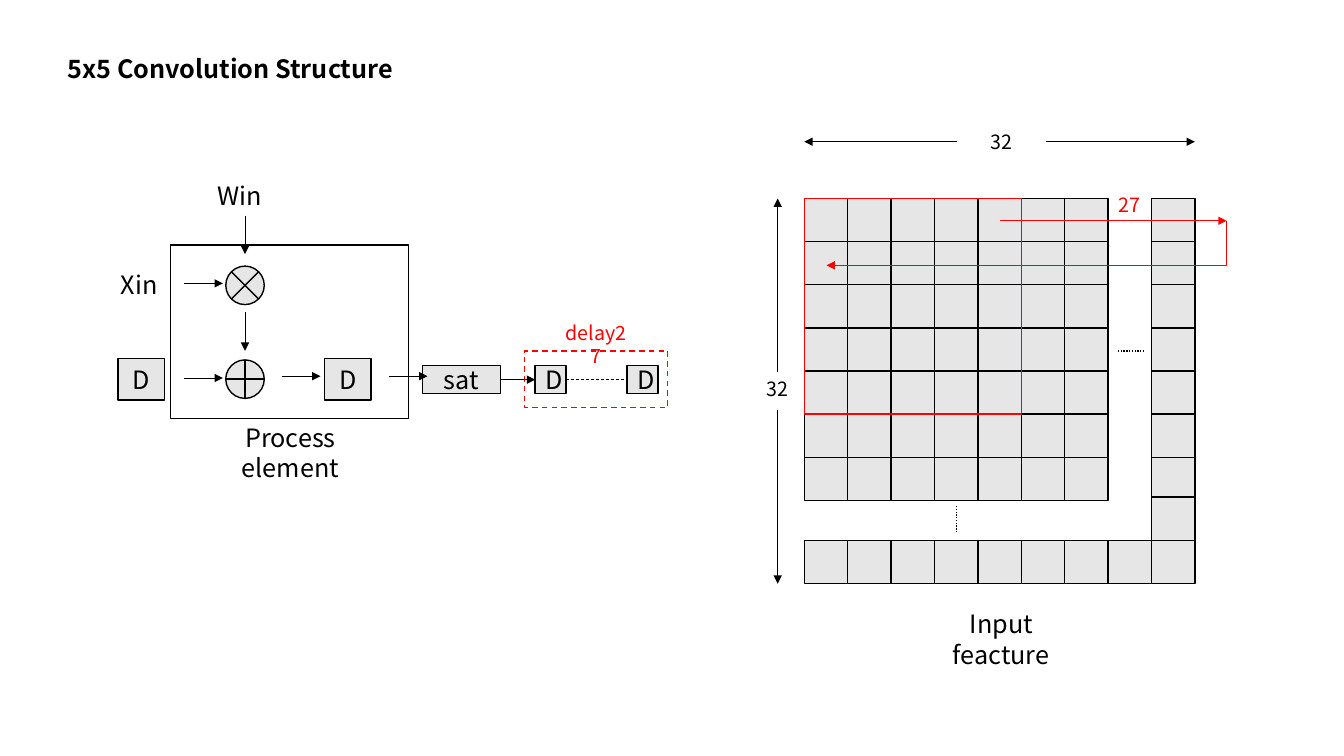
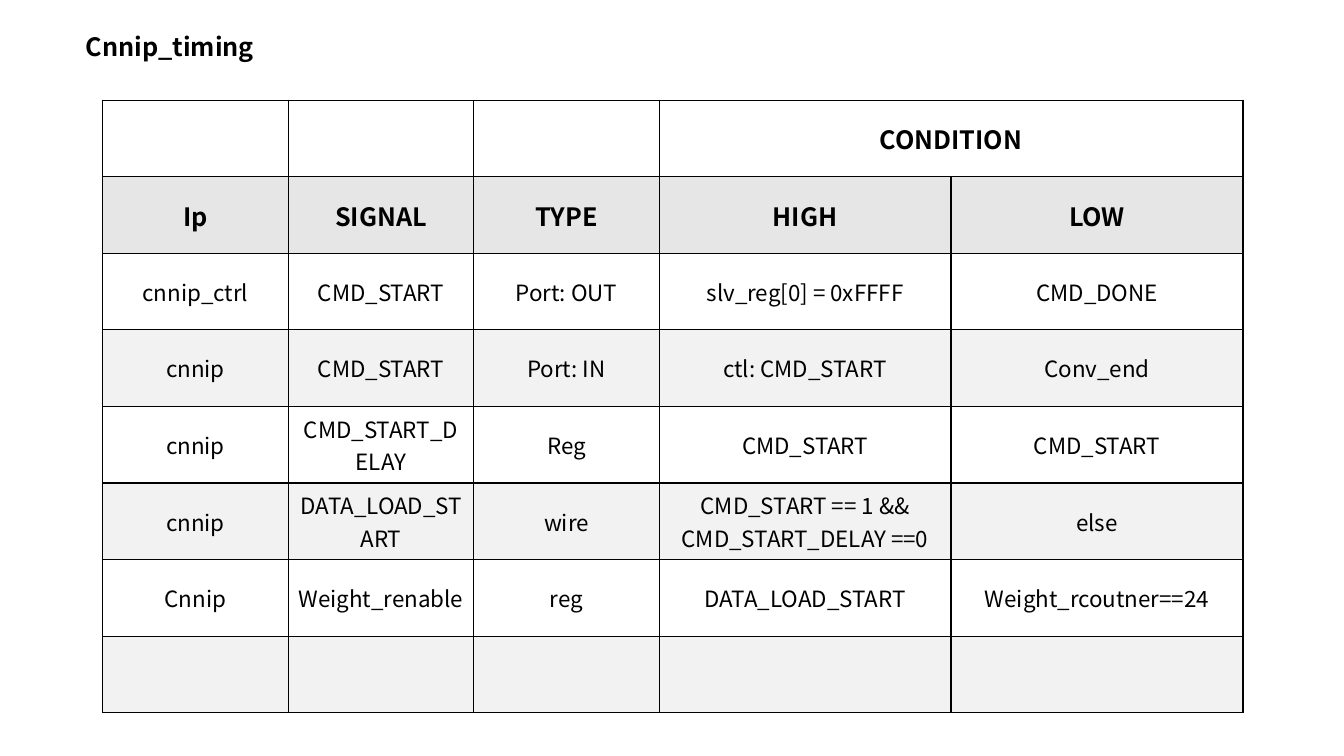
"""Build two slides: a convolution structure diagram and a signal timing table."""
from dataclasses import dataclass
from typing import Any, Optional

from lxml import etree
from pptx import Presentation
from pptx import util as u
from pptx.dml.color import RGBColor
from pptx.enum import dml, shapes, text
from pptx.oxml import ns

COLORS = {"black": "000000", "white": "FFFFFF", "red": "FF0000", "gray": "E7E6E6", "band": "F2F2F2"}
FONT = "Noto Sans CJK KR"
CELL = 31
ROW_PITCH = 30.8
GRID_LEFT, GRID_TOP = 574.5, 141.8
GRID_COUNT, LAST_COLUMN, WINDOW = 7, 8, 5
CORNER_TOP, BOTTOM_TOP = 355, 386
DASH, DOT = dml.MSO_LINE.DASH, dml.MSO_LINE.ROUND_DOT
SHAPE = shapes.MSO_SHAPE
CENTER, LEFT = text.PP_ALIGN.CENTER, text.PP_ALIGN.LEFT


@dataclass
class Box:
    left: float
    top: float
    width: float
    height: float
    content: str = ""
    fill: Optional[str] = "gray"
    line: str = "black"
    dash: Optional[Any] = None
    kind: Any = SHAPE.RECTANGLE


@dataclass
class Label:
    left: float
    top: float
    width: float
    content: str
    size: float = 18
    color: str = "black"
    bold: bool = False
    align: Any = CENTER


@dataclass
class Line:
    x1: float
    y1: float
    x2: float
    y2: float
    color: str = "black"
    weight: float = 0.5
    arrow: bool = True
    dash: Optional[Any] = None
    begin: Optional[tuple] = None
    end: Optional[tuple] = None


def rgb(name: str) -> RGBColor:
    return RGBColor.from_string(COLORS[name])


def write_text(frame, content: str, *, size: float = 18, color: str = "black",
               bold: bool = False, align=CENTER) -> None:
    frame.text = content
    for paragraph in frame.paragraphs:
        paragraph.alignment = align
        for run in paragraph.runs:
            font = run.font
            font.name, font.size, font.bold = FONT, u.Pt(size), bold
            font.color.rgb = rgb(color)


def add_box(slide, box: Box):
    shape = slide.shapes.add_shape(box.kind, u.Pt(box.left), u.Pt(box.top), u.Pt(box.width), u.Pt(box.height))
    shape.shadow.inherit = False
    if box.fill:
        shape.fill.solid()
        shape.fill.fore_color.rgb = rgb(box.fill)
    else:
        shape.fill.background()
    shape.line.color.rgb = rgb(box.line)
    shape.line.width = u.Pt(1)
    if box.dash:
        shape.line.dash_style = box.dash
    if box.content:
        write_text(shape.text_frame, box.content)
    return shape


def add_label(slide, label: Label):
    height = 28.8 if label.size == 18 else 24.5
    shape = slide.shapes.add_textbox(u.Pt(label.left), u.Pt(label.top), u.Pt(label.width), u.Pt(height))
    frame = shape.text_frame
    frame.word_wrap = True
    frame.auto_size = text.MSO_AUTO_SIZE.SHAPE_TO_FIT_TEXT
    write_text(frame, label.content, size=label.size, color=label.color, bold=label.bold, align=label.align)
    return shape


def add_line(slide, line: Line) -> None:
    connector = slide.shapes.add_connector(
        shapes.MSO_CONNECTOR.STRAIGHT, u.Pt(line.x1), u.Pt(line.y1), u.Pt(line.x2), u.Pt(line.y2))
    if line.begin:
        connector.begin_connect(*line.begin)
    if line.end:
        connector.end_connect(*line.end)
    connector.line.color.rgb = rgb(line.color)
    connector.line.width = u.Pt(line.weight)
    if line.dash:
        connector.line.dash_style = line.dash
    if line.arrow:
        etree.SubElement(connector.line._get_or_add_ln(), ns.qn("a:tailEnd"), type="triangle")
    etree.SubElement(connector._element.spPr, ns.qn("a:effectLst"))


def add_title(slide, left: float, top: float, width: float, content: str) -> None:
    add_label(slide, Label(left, top, width, content, bold=True))


def draw_delay(slide) -> None:
    add_box(slide, Box(374.5, 250.6, 102.5, 40.3, fill=None, line="red", dash=DASH))
    saturate, first, last = [
        add_box(slide, Box(left, 261.2, width, 20, content))
        for left, width, content in ((301.7, 56, "sat"), (382.3, 22, "D"), (448, 22, "D"))]
    add_line(slide, Line(357.7, 271.2, 382.3, 271.2, begin=(saturate, 3), end=(first, 1)))
    add_line(slide, Line(404.3, 271.2, 448, 271.2, arrow=False, dash=DASH, begin=(first, 3), end=(last, 1)))
    add_label(slide, Label(393.8, 225.4, 64, "delay27", 14, "red"))


def draw_feature_map(slide) -> None:
    columns = [GRID_LEFT + CELL * index for index in range(LAST_COLUMN + 1)]
    rows = [GRID_TOP + ROW_PITCH * index for index in range(GRID_COUNT)]
    right, bottom = columns[-1] + CELL, BOTTOM_TOP + CELL
    for top in rows:
        for left in columns[:GRID_COUNT] + columns[-1:]:
            add_box(slide, Box(left, top, CELL, CELL))
    for left in columns:
        add_box(slide, Box(left, BOTTOM_TOP, CELL, CELL))
    add_box(slide, Box(columns[-1], CORNER_TOP, CELL, CELL))
    add_box(slide, Box(GRID_LEFT, GRID_TOP, WINDOW * CELL, WINDOW * ROW_PITCH, fill=None, line="red"))

    across = add_label(slide, Label(683.3, 89, 64, "32", 14))
    down = add_label(slide, Label(540, 265.7, 31, "32", 14))
    add_label(slide, Label(774.7, 134.6, 64, "27", 14, "red"))
    add_label(slide, Label(650, 431.3, 130.3, "Input feacture"))
    turn = 876.2
    for line in (
        Line(798.5, 250.6, 818, 250.6, weight=1, arrow=False, dash=DOT),
        Line(683.3, 361.4, 683.3, 381, weight=1, arrow=False, dash=DOT),
        Line(683.3, 101.25, GRID_LEFT, 101.25, begin=(across, 1)),
        Line(747.3, 101.25, right, 101.25, begin=(across, 3)),
        Line(555.5, 265.7, 555.5, GRID_TOP, begin=(down, 0)),
        Line(555.5, 293, 555.5, bottom),
        Line(714.2, 157.7, turn, 157.7, "red"),
        Line(turn, 157.7, turn, 189.5, "red", arrow=False),
        Line(turn, 189.5, 590.4, 189.5, "red"),
    ):
        add_line(slide, line)


def draw_process_element(slide) -> None:
    for box in (
        Box(121.7, 175, 170, 123.8, fill="white"),
        Box(161.3, 190.1, 27.5, 27.5, kind=SHAPE.FLOWCHART_SUMMING_JUNCTION),
        Box(161.3, 257.1, 27.5, 27.5, kind=SHAPE.FLOWCHART_OR),
        Box(231.8, 256.2, 33.2, 29.6, "D"),
        Box(84.2, 256.2, 33.2, 29.6, "D"),
    ):
        add_box(slide, box)
    add_label(slide, Label(132.5, 298.2, 149.8, "Process element"))
    add_label(slide, Label(79.2, 188.7, 53, "Xin", align=LEFT))
    weight_input = add_label(slide, Label(148.5, 125.3, 53, "Win", align=LEFT))
    add_line(slide, Line(175, 154.1, 175, 181.5, begin=(weight_input, 2)))
    add_line(slide, Line(175, 223.2, 175, 250.6))
    for left, middle in ((131.8, 202.4), (131.8, 270), (201.6, 268.7), (278, 268.7)):
        add_line(slide, Line(left, middle, left + 27.4, middle))


def border_cell(cell) -> None:
    properties = cell._tc.get_or_add_tcPr()
    for index, side in enumerate(("lnL", "lnR", "lnT", "lnB")):
        border = etree.Element(ns.qn(f"a:{side}"), w=str(u.Pt(1)))
        fill = etree.SubElement(border, ns.qn("a:solidFill"))
        etree.SubElement(fill, ns.qn("a:srgbClr"), val=COLORS["black"])
        properties.insert(index, border)


def draw_timing_table(slide) -> None:
    rows = (
        ("", "", "", "CONDITION", ""),
        ("Ip", "SIGNAL", "TYPE", "HIGH", "LOW"),
        ("cnnip_ctrl", "CMD_START", "Port: OUT", "slv_reg[0] = 0xFFFF", "CMD_DONE"),
        ("cnnip", "CMD_START", "Port: IN", "ctl: CMD_START", "Conv_end"),
        ("cnnip", "CMD_START_DELAY", "Reg", "CMD_START", "CMD_START"),
        ("cnnip", "DATA_LOAD_START", "wire", "CMD_START == 1 &&\nCMD_START_DELAY ==0", "else"),
        ("Cnnip", "Weight_renable", "reg", "DATA_LOAD_START", "Weight_rcoutner==24"),
        ("", "", "", "", ""),
    )
    widths = (132.5, 132.5, 132.5, 208.5, 208.5)
    row_height = 54.7
    table = slide.shapes.add_table(
        len(rows), len(widths), u.Pt(73.4), u.Pt(71.6), u.Pt(sum(widths)), u.Pt(row_height * len(rows))).table
    table.first_row = table.horz_banding = False
    for column, width in zip(table.columns, widths):
        column.width = u.Pt(width)
    for row_index, contents in enumerate(rows):
        table.rows[row_index].height = u.Pt(row_height)
        heading = row_index < 2
        fill = "gray" if row_index == 1 else "band" if row_index % 2 else "white"
        for column_index, content in enumerate(contents):
            cell = table.cell(row_index, column_index)
            cell.fill.solid()
            cell.fill.fore_color.rgb = rgb(fill)
            cell.vertical_anchor = text.MSO_ANCHOR.MIDDLE
            border_cell(cell)
            write_text(cell.text_frame, content, size=18 if heading else 16, bold=heading)
    table.cell(0, 3).merge(table.cell(0, 4))


def main() -> None:
    presentation = Presentation()
    presentation.slide_width, presentation.slide_height = u.Pt(960), u.Pt(540)
    blank = presentation.slide_layouts[6]

    structure = presentation.slides.add_slide(blank)
    draw_delay(structure)
    draw_feature_map(structure)
    add_title(structure, 41, 34.6, 247, "5x5 Convolution Structure")
    draw_process_element(structure)

    timing = presentation.slides.add_slide(blank)
    add_title(timing, 35.3, 18.7, 172, "Cnnip_timing")
    draw_timing_table(timing)
    presentation.save("out.pptx")


if __name__ == "__main__":
    main()
